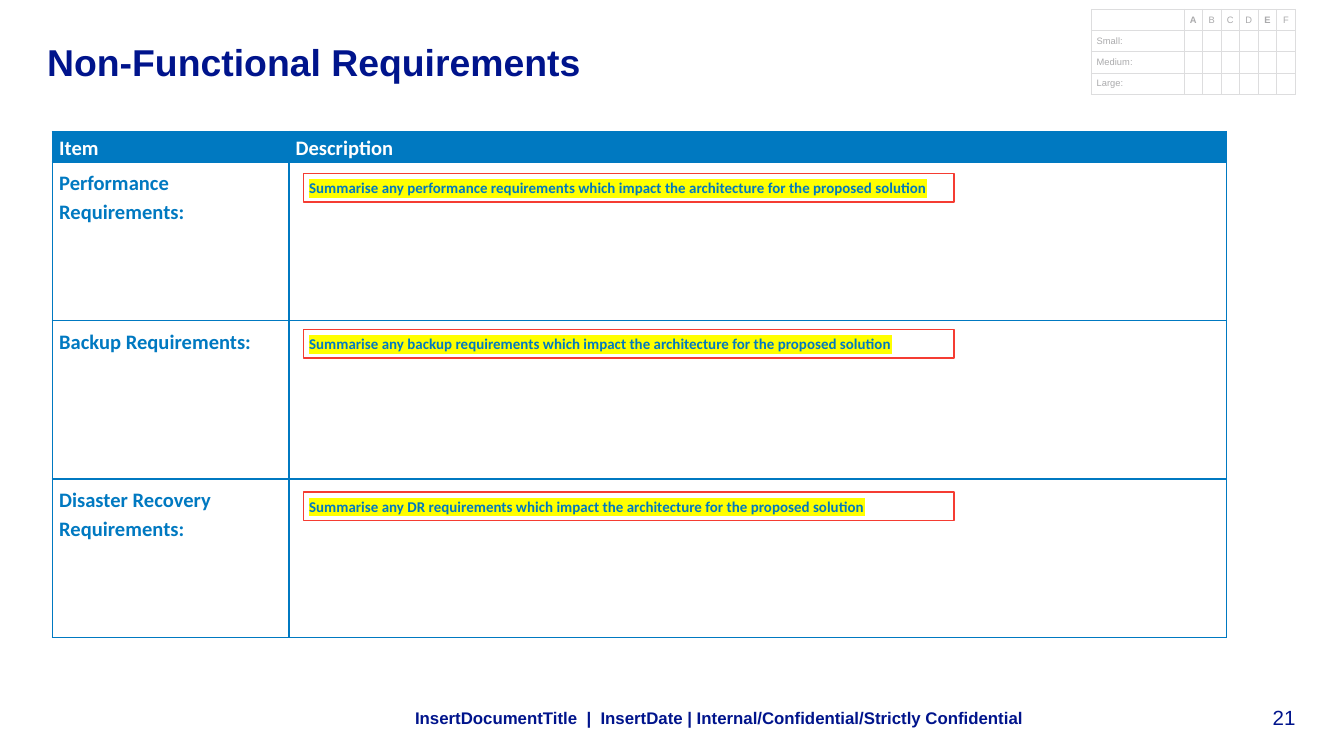
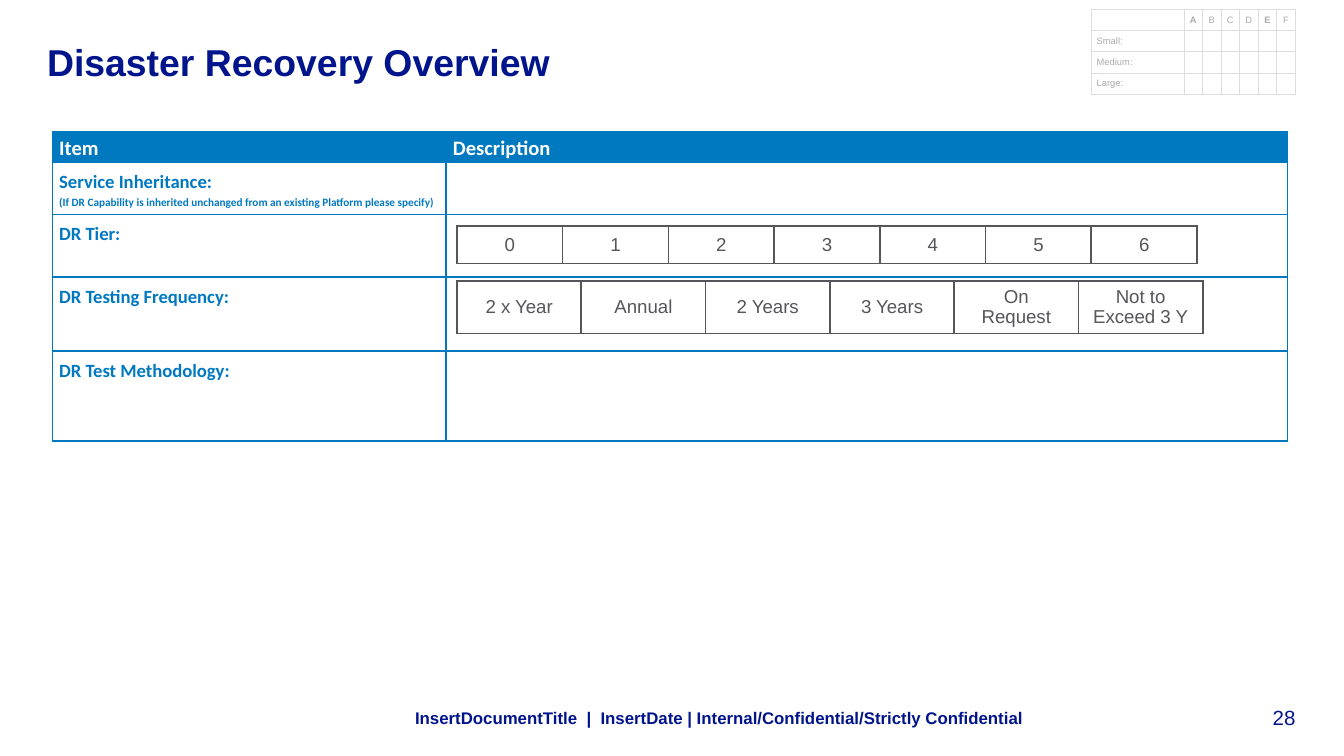
from dataclasses import dataclass
from typing import NamedTuple, Optional, Sequence

from lxml.etree import SubElement
from pptx import Presentation
from pptx.dml.color import RGBColor
from pptx.enum.shapes import MSO_SHAPE
from pptx.enum.text import MSO_ANCHOR, MSO_AUTO_SIZE, PP_ALIGN
from pptx.oxml.ns import qn
from pptx.util import Inches, Pt

COLORS = {
    "navy": "00148C",
    "blue": "0079C1",
    "white": "FFFFFF",
    "red": "F53C32",
    "yellow": "FFFF00",
    "dark_grey": "55555A",
    "mid_grey": "AAAAAC",
    "light_grey": "DDDDDE",
}
COLUMNS, ROWS = 100, 56.25  # grid over the whole slide
CELL = 0.1  # inches per grid column or row
FOOTER = "InsertDocumentTitle  |  InsertDate | Internal/Confidential/Strictly Confidential"


class Box(NamedTuple):
    """Left, top, width and height in grid columns and rows."""
    left: float
    top: float
    width: float
    height: float


class Insets(NamedTuple):
    """Side and top/bottom text margins in grid units."""
    side: float = 0
    vertical: float = 0


@dataclass(frozen=True)
class TextStyle:
    size: float
    color: str
    bold: bool = False
    font: str = "Arial"
    align: PP_ALIGN = PP_ALIGN.LEFT
    anchor: MSO_ANCHOR = MSO_ANCHOR.TOP
    insets: Insets = Insets()
    space_after: float = 0
    line_spacing: Optional[float] = None


@dataclass(frozen=True)
class Entry:
    """A table cell: text, its style, a smaller second line and a fill."""
    text: str
    style: TextStyle
    note: str = ""
    fill: Optional[str] = None


@dataclass(frozen=True)
class Requirement:
    item: str
    hint: str
    hint_top: float


TITLE = TextStyle(20, "navy", True)
PAGE_NUMBER = TextStyle(11, "navy", align=PP_ALIGN.RIGHT, anchor=MSO_ANCHOR.BOTTOM)
FOOTER_TEXT = TextStyle(9, "navy", True, anchor=MSO_ANCHOR.MIDDLE,
                        insets=Insets(1, 0.5), space_after=6)
HEADING = TextStyle(11, "white", True, "Calibri", insets=Insets(0.5), line_spacing=1.15)
REQUIREMENT = TextStyle(11, "blue", True, "Calibri", insets=Insets(0.5, 0.4),
                        line_spacing=1.15)
RECOVERY = TextStyle(10, "blue", True, "Calibri", insets=Insets(0.5, 0.4),
                     line_spacing=1.15)
HINT = TextStyle(8, "blue", True, "Calibri", insets=Insets(0.4, 0.4), space_after=2)
CHOICE = TextStyle(10, "dark_grey", align=PP_ALIGN.CENTER, anchor=MSO_ANCHOR.MIDDLE,
                   insets=Insets(1, 0.4), space_after=6)
SIZE_LABEL = TextStyle(5, "mid_grey", anchor=MSO_ANCHOR.MIDDLE,
                       insets=Insets(0.4), space_after=6)
GRADE = TextStyle(5, "mid_grey", align=PP_ALIGN.CENTER, anchor=MSO_ANCHOR.MIDDLE,
                  insets=Insets(0.4), space_after=6)
KEY_GRADE = TextStyle(5, "mid_grey", True, align=PP_ALIGN.CENTER,
                      anchor=MSO_ANCHOR.MIDDLE, insets=Insets(0.4), space_after=6)

REQUIREMENTS = (
    Requirement("Performance Requirements:", "performance", 12.9),
    Requirement("Backup Requirements:", "backup", 24.5),
    Requirement("Disaster Recovery Requirements:", "DR", 36.6),
)
RECOVERY_ITEMS = {
    "Service Inheritance:":
        "(If DR Capability is inherited unchanged from an existing Platform please specify)",
    "DR Tier:": "",
    "DR Testing Frequency:": "",
    "DR Test Methodology:": "",
}
TIERS = [str(tier) for tier in range(7)]
FREQUENCIES = ["2 x Year", "Annual", "2 Years", "3 Years", "On Request",
               "Not to Exceed 3 Y"]


def grid(units: float) -> int:
    return Inches(units * CELL)


def rgb(name: str) -> RGBColor:
    return RGBColor.from_string(COLORS[name])


def style_paragraph(paragraph, style: TextStyle) -> None:
    paragraph.alignment = style.align
    paragraph.space_before = Pt(0)
    paragraph.space_after = Pt(style.space_after)
    if style.line_spacing:
        paragraph.line_spacing = style.line_spacing
    font = paragraph.font
    font.name, font.size, font.bold = style.font, Pt(style.size), style.bold
    font.color.rgb = rgb(style.color)


def set_insets(holder, insets: Insets) -> None:
    holder.margin_left = holder.margin_right = grid(insets.side)
    holder.margin_top = holder.margin_bottom = grid(insets.vertical)


def write(shape, text: str, style: TextStyle, highlight: Optional[str] = None) -> None:
    frame = shape.text_frame
    frame.word_wrap = True
    frame.auto_size = MSO_AUTO_SIZE.NONE
    frame.vertical_anchor = style.anchor
    set_insets(frame, style.insets)
    paragraph = frame.paragraphs[0]
    run = paragraph.add_run()
    run.text = text
    style_paragraph(paragraph, style)
    if highlight:
        mark = SubElement(run._r.get_or_add_rPr(), qn("a:highlight"))
        SubElement(mark, qn("a:srgbClr"), val=COLORS[highlight])


def add_text(slide, box: Box, text: str, style: TextStyle) -> None:
    write(slide.shapes.add_textbox(*map(grid, box)), text, style)


def set_borders(cell, color: str, width: float) -> None:
    properties = cell._tc.get_or_add_tcPr()
    for position, side in enumerate(("lnL", "lnR", "lnT", "lnB")):
        line = SubElement(properties, qn(f"a:{side}"), w=str(Pt(width)))
        fill = SubElement(line, qn("a:solidFill"))
        SubElement(fill, qn("a:srgbClr"), val=COLORS[color])
        properties.insert(position, line)


def fill_cell(cell, entry: Entry) -> None:
    style = entry.style
    set_insets(cell, style.insets)
    cell.vertical_anchor = style.anchor
    if entry.fill:
        cell.fill.solid()
        cell.fill.fore_color.rgb = rgb(entry.fill)
    else:
        cell.fill.background()
    paragraph = cell.text_frame.paragraphs[0]
    if entry.text:
        paragraph.add_run().text = entry.text
    else:
        paragraph._p.get_or_add_endParaRPr().set("sz", str(int(style.size * 100)))
    if entry.note:
        paragraph.add_line_break()
        note = paragraph.add_run()
        note.text = entry.note
        note.font.size = Pt(6)
    style_paragraph(paragraph, style)


def add_table(slide, left: float, top: float, widths: Sequence[float],
              heights: Sequence[float], entries: Sequence[Sequence[Entry]],
              border: str, border_width: float = 1) -> None:
    box = Box(left, top, sum(widths), sum(heights))
    table = slide.shapes.add_table(len(heights), len(widths), *map(grid, box)).table
    table.first_row = table.horz_banding = False
    for column, width in zip(table.columns, widths):
        column.width = grid(width)
    for row, height, row_entries in zip(table.rows, heights, entries):
        row.height = grid(height)
        for cell, entry in zip(row.cells, row_entries):
            fill_cell(cell, entry)
            set_borders(cell, border, border_width)


def add_size_matrix(slide) -> None:
    grades = [Entry(grade, KEY_GRADE if grade in "AE" else GRADE) for grade in "ABCDEF"]
    entries = [[Entry("", SIZE_LABEL), *grades]]
    for size in ("Small:", "Medium:", "Large:"):
        entries.append([Entry(size, SIZE_LABEL)] + [Entry("", GRADE)] * len(grades))
    add_table(slide, 81.2, 0.7, [6.9] + [1.38] * len(grades), [1.58] * len(entries),
              entries, "light_grey", 0.5)


def add_item_table(slide, widths: Sequence[float], heights: Sequence[float],
                   items: Sequence[Entry]) -> None:
    """Draw the Item/Description table with empty descriptions."""
    heading = [Entry(text, HEADING, fill="blue") for text in ("Item", "Description")]
    body = [[item, Entry("", item.style)] for item in items]
    add_table(slide, 3.9, 9.8, widths, heights, [heading, *body], "blue")


def add_choices(slide, top: float, width: float, height: float,
                choices: Sequence[str]) -> None:
    entries = [[Entry(choice, CHOICE) for choice in choices]]
    add_table(slide, 34, top, [width] * len(choices), [height], entries, "dark_grey")


def add_hint(slide, requirement: Requirement) -> None:
    box = Box(22.6, requirement.hint_top, 48.4, 2.15)
    hint = slide.shapes.add_shape(MSO_SHAPE.RECTANGLE, *map(grid, box))
    hint.shadow.inherit = False
    hint.fill.background()
    hint.line.color.rgb = rgb("red")
    hint.line.width = Pt(0.75)
    write(hint, f"Summarise any {requirement.hint} requirements which impact "
                "the architecture for the proposed solution", HINT, "yellow")


def add_slide(deck, title: str, number: int):
    """Add a slide with the shared title, size matrix, footer and page number."""
    slide = deck.slides.add_slide(deck.slide_layouts[5])
    heading = slide.shapes.title
    heading.left, heading.top, heading.width, heading.height = map(
        grid, Box(3.5, 2.9, 70.8, 4.7))
    write(heading, title, TITLE)
    add_text(slide, Box(90.6, 52.4, 5.8, 1.9), str(number), PAGE_NUMBER)
    add_size_matrix(slide)
    add_text(slide, Box(29.9, 52.1, 63.3, 2.6), FOOTER, FOOTER_TEXT)
    return slide


def add_requirements_slide(deck) -> None:
    slide = add_slide(deck, "Non-Functional Requirements", 21)
    items = [Entry(requirement.item, REQUIREMENT) for requirement in REQUIREMENTS]
    add_item_table(slide, [17.6, 69.75], [2.25] + [11.8] * len(items), items)
    for requirement in REQUIREMENTS:
        add_hint(slide, requirement)


def add_recovery_slide(deck) -> None:
    slide = add_slide(deck, "Disaster Recovery Overview", 28)
    items = [Entry(item, RECOVERY, note) for item, note in RECOVERY_ITEMS.items()]
    add_item_table(slide, [29.3, 62.6], [2.25, 3.9, 4.65, 5.5, 6.7], items)
    add_choices(slide, 16.8, 7.87, 2.8, TIERS)
    add_choices(slide, 20.9, 9.25, 3.9, FREQUENCIES)


def main() -> None:
    deck = Presentation()
    deck.slide_width, deck.slide_height = grid(COLUMNS), grid(ROWS)
    add_requirements_slide(deck)
    add_recovery_slide(deck)
    deck.save("out.pptx")


if __name__ == "__main__":
    main()
